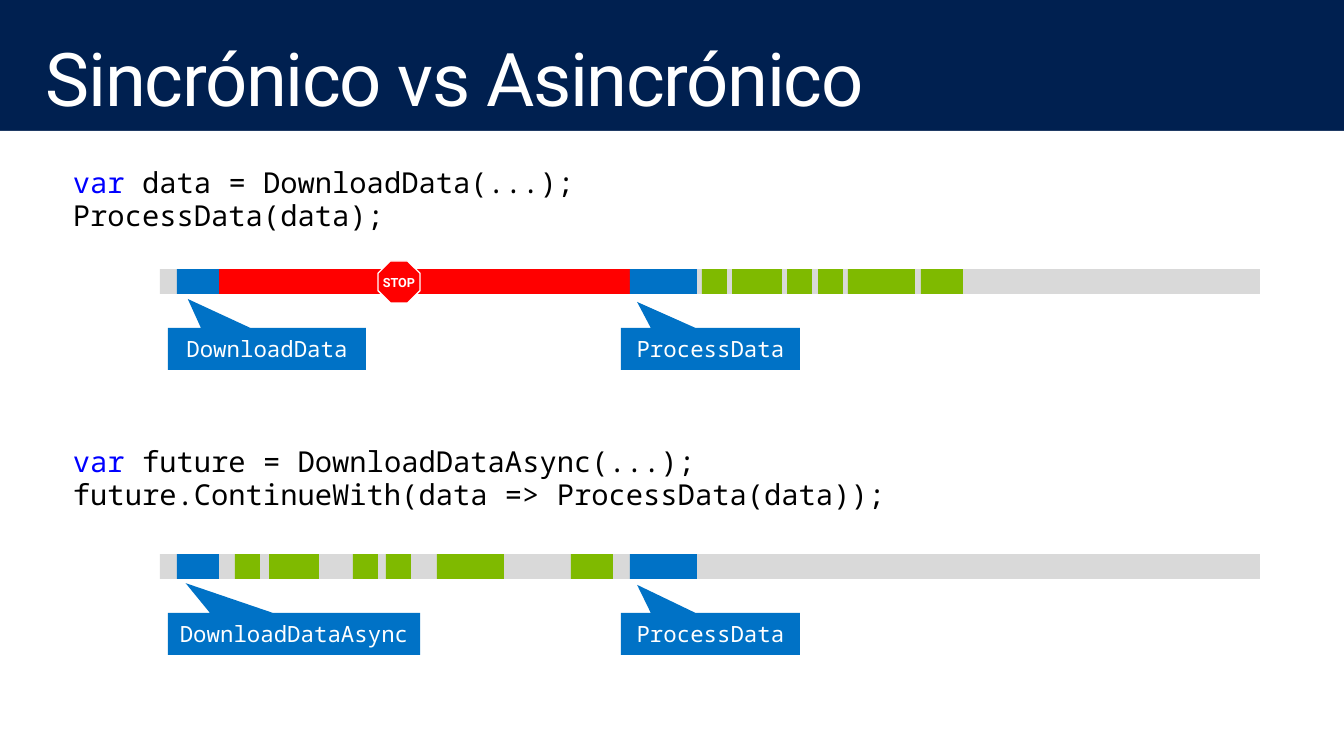
from pptx import Presentation
from pptx.dml.color import RGBColor
from pptx.enum.shapes import MSO_SHAPE
from pptx.enum.text import MSO_ANCHOR, MSO_AUTO_SIZE, PP_ALIGN
from pptx.util import Emu, Pt

RECT, CALLOUT, OCTAGON = MSO_SHAPE.RECTANGLE, MSO_SHAPE.RECTANGULAR_CALLOUT, MSO_SHAPE.OCTAGON
TOP, MIDDLE = MSO_ANCHOR.TOP, MSO_ANCHOR.MIDDLE
LEFT, CENTER = PP_ALIGN.LEFT, PP_ALIGN.CENTER
EMU_PER_PX = 914400 / 98.8
COLORS = {"navy": "002050", "white": "FFFFFF", "black": "000000", "keyword": "0000FF",
          "track": "D9D9D9", "call": "0072C6", "blocked": "FF0000", "task": "7FBA00"}
SANS, MONO = "Roboto", "Noto Sans Mono"
TITLE_ONLY = 5


def px(length):
    return Emu(round(length * EMU_PER_PX))


def color(name):
    return RGBColor.from_string(COLORS[name])


class SlideBuilder:
    def __init__(self, deck):
        self.page = deck.slides.add_slide(deck.slide_layouts[TITLE_ONLY])
        self.page.background.fill.solid()
        self.page.background.fill.fore_color.rgb = color("navy")

    def frame(self, box, anchor, insets, wrap=True):
        frame = box.text_frame
        frame.auto_size = MSO_AUTO_SIZE.NONE
        frame.word_wrap = wrap
        frame.vertical_anchor = anchor
        frame.margin_left = frame.margin_right = px(insets[0])
        frame.margin_top = frame.margin_bottom = px(insets[1])
        return frame

    def span(self, para, text, size, font, fill, bold=False):
        span = para.add_run()
        span.text = text
        span.font.size = Pt(size)
        span.font.name = font
        span.font.bold = bold
        span.font.color.rgb = color(fill)
        return span

    def title(self, text, left, top, width, height):
        box = self.page.shapes.title
        box.left, box.top, box.width, box.height = map(px, (left, top, width, height))
        para = self.frame(box, TOP, (16, 10)).paragraphs[0]
        para.alignment = LEFT
        para.line_spacing = 0.9
        span = self.span(para, text, 54, SANS, "white")
        span.font._element.set("spc", "-100")

    def code(self, lines, left, top, width, height):
        box = self.page.shapes.add_textbox(*map(px, (left, top, width, height)))
        frame = self.frame(box, TOP, (16, 10))
        for index, line in enumerate(lines):
            para = frame.add_paragraph() if index else frame.paragraphs[0]
            para.line_spacing = 0.9
            para.space_before = Pt(1)
            for text, fill in line:
                self.span(para, text, 21, MONO, fill)

    def shape(self, kind, fill, left, top, width, height):
        shape = self.page.shapes.add_shape(kind, *map(px, (left, top, width, height)))
        shape.shadow.inherit = False
        shape.fill.solid()
        shape.fill.fore_color.rgb = color(fill)
        shape.line.fill.background()
        return shape

    def callout(self, text, pointer, left, top, width, height):
        box = self.shape(CALLOUT, "call", left, top, width, height)
        box.adjustments[0], box.adjustments[1] = pointer
        para = self.frame(box, MIDDLE, (10, 5)).paragraphs[0]
        para.alignment = CENTER
        self.span(para, text, 16.3, MONO, "white")

    def stop_sign(self, left, top, size):
        sign = self.shape(OCTAGON, "blocked", left, top, size, size)
        sign.line.color.rgb = color("white")
        sign.line.width = Pt(1)
        para = self.frame(sign, MIDDLE, (0, 0), wrap=False).paragraphs[0]
        para.alignment = CENTER
        self.span(para, "STOP", 9.2, SANS, "white", bold=True)


# Timeline geometry shared by both examples
BAR_HEIGHT = 25
CALLOUT_DROP, CALLOUT_HEIGHT = 59, 42
DOWNLOAD_LEFT, DOWNLOAD_WIDTH = 177, 42
PROCESS_LEFT, PROCESS_WIDTH = 630, 67
TASK_WIDTHS = [25, 50, 25, 25, 67, 42]

EXAMPLES = [
    {"code_top": 159, "bar_top": 269, "blocked": True,
     "code": [[("var", "keyword"), (" data = DownloadData(...);", "black")],
              [("ProcessData(data);", "black")]],
     "task_lefts": [702, 732, 787, 818, 848, 921],
     "callouts": [("DownloadData", (-0.4, -1.19), 168, 198),
                  ("ProcessData", (-0.41, -1.12), 621, 179)]},
    {"code_top": 438, "bar_top": 554, "blocked": False,
     "code": [[("var ", "keyword"), ("future = DownloadDataAsync(...);", "black")],
              [("future.ContinueWith(data => ProcessData(data));", "black")]],
     "task_lefts": [235, 269, 353, 386, 437, 571],
     "callouts": [("DownloadDataAsync", (-0.43, -1.21), 168, 252),
                  ("ProcessData", (-0.41, -1.17), 621, 179)]},
]


def draw_example(builder, example):
    top = example["bar_top"]
    builder.code(example["code"], 57, example["code_top"], 1229, 90)

    # Track and its segments
    segments = [("track", 160, 1100)]
    if example["blocked"]:
        blocked_left = DOWNLOAD_LEFT + DOWNLOAD_WIDTH
        segments.append(("blocked", blocked_left, PROCESS_LEFT - blocked_left))
    segments += [("call", DOWNLOAD_LEFT, DOWNLOAD_WIDTH), ("call", PROCESS_LEFT, PROCESS_WIDTH)]
    segments += [("task", left, width) for left, width in zip(example["task_lefts"], TASK_WIDTHS)]
    for fill, left, width in segments:
        builder.shape(RECT, fill, left, top, width, BAR_HEIGHT)
    if example["blocked"]:
        builder.stop_sign(378, top - 8, 42)

    # Callouts under the track
    for text, pointer, left, width in example["callouts"]:
        builder.callout(text, pointer, left, top + CALLOUT_DROP, width, CALLOUT_HEIGHT)


def main():
    deck = Presentation()
    deck.slide_width, deck.slide_height = px(1344), px(756)
    builder = SlideBuilder(deck)

    # Title band and white content area
    builder.shape(RECT, "white", 0, 131, 1344, 625)
    builder.title("Sincrónico vs Asincrónico", 30, 32, 1284, 99)

    # Synchronous and asynchronous examples
    for example in EXAMPLES:
        draw_example(builder, example)
    deck.save("out.pptx")


if __name__ == "__main__":
    main()
